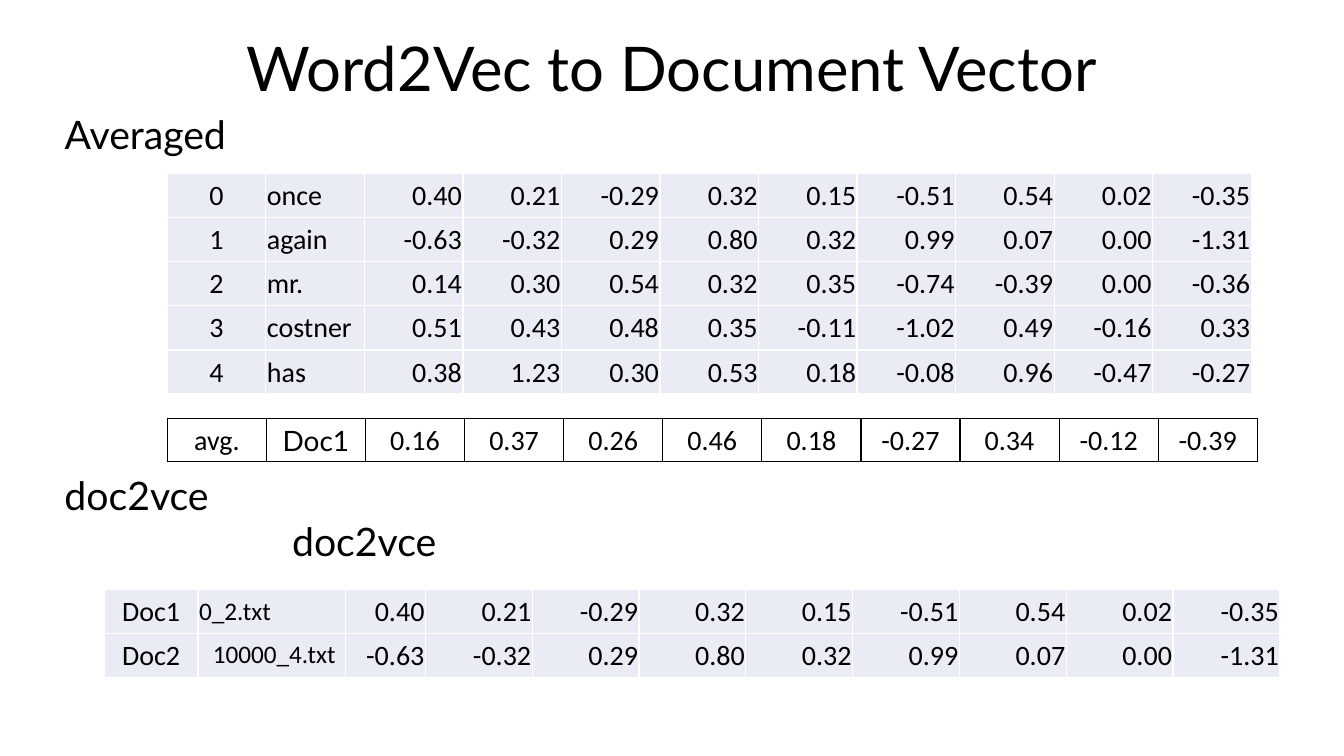
"""Build the slide that turns Word2Vec word vectors into document vectors."""
from pptx import Presentation
from pptx.dml.color import RGBColor
from pptx.enum.text import MSO_ANCHOR, MSO_AUTO_SIZE, PP_ALIGN
from pptx.oxml import parse_xml
from pptx.oxml.ns import nsdecls
from pptx.util import Pt

BLACK = RGBColor(0, 0, 0)
WHITE = RGBColor(255, 255, 255)
PALE_BLUE = RGBColor(0xE9, 0xEB, 0xF5)
CENTER, LEFT, RIGHT = PP_ALIGN.CENTER, PP_ALIGN.LEFT, PP_ALIGN.RIGHT


def write_text(box, text, place, size, anchor, align=LEFT):
    box.left, box.top, box.width, box.height = [Pt(length) for length in place]
    frame = box.text_frame
    frame.text = text
    frame.word_wrap = True
    frame.auto_size = MSO_AUTO_SIZE.NONE
    frame.vertical_anchor = anchor
    para = frame.paragraphs[0]
    para.alignment = align
    para.line_spacing = 0.9
    font = para.runs[0].font
    font.name, font.size, font.color.rgb = "Lato", Pt(size), BLACK
    return para


def add_grid(page, rows, left, top, widths, row_height, aligns, fill, border):
    table = page.shapes.add_table(len(rows), len(widths), Pt(left), Pt(top),
                                  Pt(sum(widths)), Pt(row_height * len(rows))).table
    table.first_row = table.horz_banding = False
    for column, width in zip(table.columns, widths):
        column.width = Pt(width)
    for row_number, values in enumerate(rows):
        table.rows[row_number].height = Pt(row_height)
        for column_number, value in enumerate(values):
            cell = table.cell(row_number, column_number)
            cell.text = value
            cell.vertical_anchor = MSO_ANCHOR.MIDDLE
            cell.margin_left = cell.margin_right = cell.margin_top = Pt(0.75)
            cell.margin_bottom = Pt(0)
            para = cell.text_frame.paragraphs[0]
            para.alignment = aligns[column_number]
            font = para.runs[0].font
            font.name, font.size, font.color.rgb = "Calibri", Pt(20), BLACK
            if fill is None:
                cell.fill.background()
            else:
                cell.fill.solid()
                cell.fill.fore_color.rgb = fill
            properties = cell._tc.get_or_add_tcPr()
            for position, side in enumerate(("lnL", "lnR", "lnT", "lnB")):
                properties.insert(position, parse_xml(
                    f'<a:{side} {nsdecls("a")} w="12700"><a:solidFill>'
                    f'<a:srgbClr val="{border}"/></a:solidFill></a:{side}>'))
    return table


deck = Presentation()
deck.slide_width, deck.slide_height = Pt(960), Pt(540)
page = deck.slides.add_slide(deck.slide_layouts[1])

write_text(page.shapes.title, "Word2Vec to Document Vector",
           (66, 6.5, 828, 89.3), 44, MSO_ANCHOR.MIDDLE, CENTER)
averaged = write_text(page.placeholders[1], "Averaged",
                      (39, 79.2, 188.6, 57.6), 28, MSO_ANCHOR.TOP)
averaged.space_before = Pt(10)
bullet = averaged._p.get_or_add_pPr()
bullet.set("marL", "0")
bullet.set("indent", "0")
bullet.append(parse_xml(f'<a:buNone {nsdecls("a")}/>'))

for left, top in ((39, 327), (201.6, 359.3)):
    box = page.shapes.add_textbox(0, 0, 0, 0)
    write_text(box, "doc2vce", (left, top, 132.5, 57.6), 28, MSO_ANCHOR.MIDDLE)

average_row = ["avg.", "Doc1", "0.16", "0.37", "0.26", "0.46",
               "0.18", "-0.27", "0.34", "-0.12", "-0.39"]
average_table = add_grid(page, [average_row], 119.5, 298.8, [70.8] * 11, 31,
                         [CENTER] * 11, None, BLACK)
average_table.cell(0, 1).text_frame.paragraphs[0].runs[0].font.name = "Lato"

once_vector = ["0.40", "0.21", "-0.29", "0.32", "0.15", "-0.51", "0.54", "0.02", "-0.35"]
again_vector = ["-0.63", "-0.32", "0.29", "0.80", "0.32", "0.99", "0.07", "0.00", "-1.31"]
word_rows = [
    ["0", "once", *once_vector],
    ["1", "again", *again_vector],
    ["2", "mr.", "0.14", "0.30", "0.54", "0.32", "0.35", "-0.74", "-0.39", "0.00", "-0.36"],
    ["3", "costner", "0.51", "0.43", "0.48", "0.35", "-0.11", "-1.02", "0.49", "-0.16", "0.33"],
    ["4", "has", "0.38", "1.23", "0.30", "0.53", "0.18", "-0.08", "0.96", "-0.47", "-0.27"],
]
vector_aligns = [CENTER, LEFT] + [RIGHT] * 9
add_grid(page, word_rows, 119.5, 124, [70.4] * 11, 31.5, vector_aligns, PALE_BLUE, WHITE)

document_rows = [["Doc1", "0_2.txt", *once_vector], ["Doc2", "10000_4.txt", *again_vector]]
document_table = add_grid(page, document_rows, 74.5, 420.8, [67, 105.5, 57] + [76.3] * 8,
                          31.5, vector_aligns, PALE_BLUE, WHITE)
for row_number in range(2):
    file_name = document_table.cell(row_number, 1).text_frame.paragraphs[0]
    file_name.runs[0].font.size = Pt(18)
second_file = document_table.cell(1, 1)
second_file.text_frame.paragraphs[0].alignment = RIGHT
second_file.margin_left = second_file.margin_right = Pt(7.2)
second_file.margin_top = second_file.margin_bottom = Pt(3.6)

deck.save("out.pptx")
